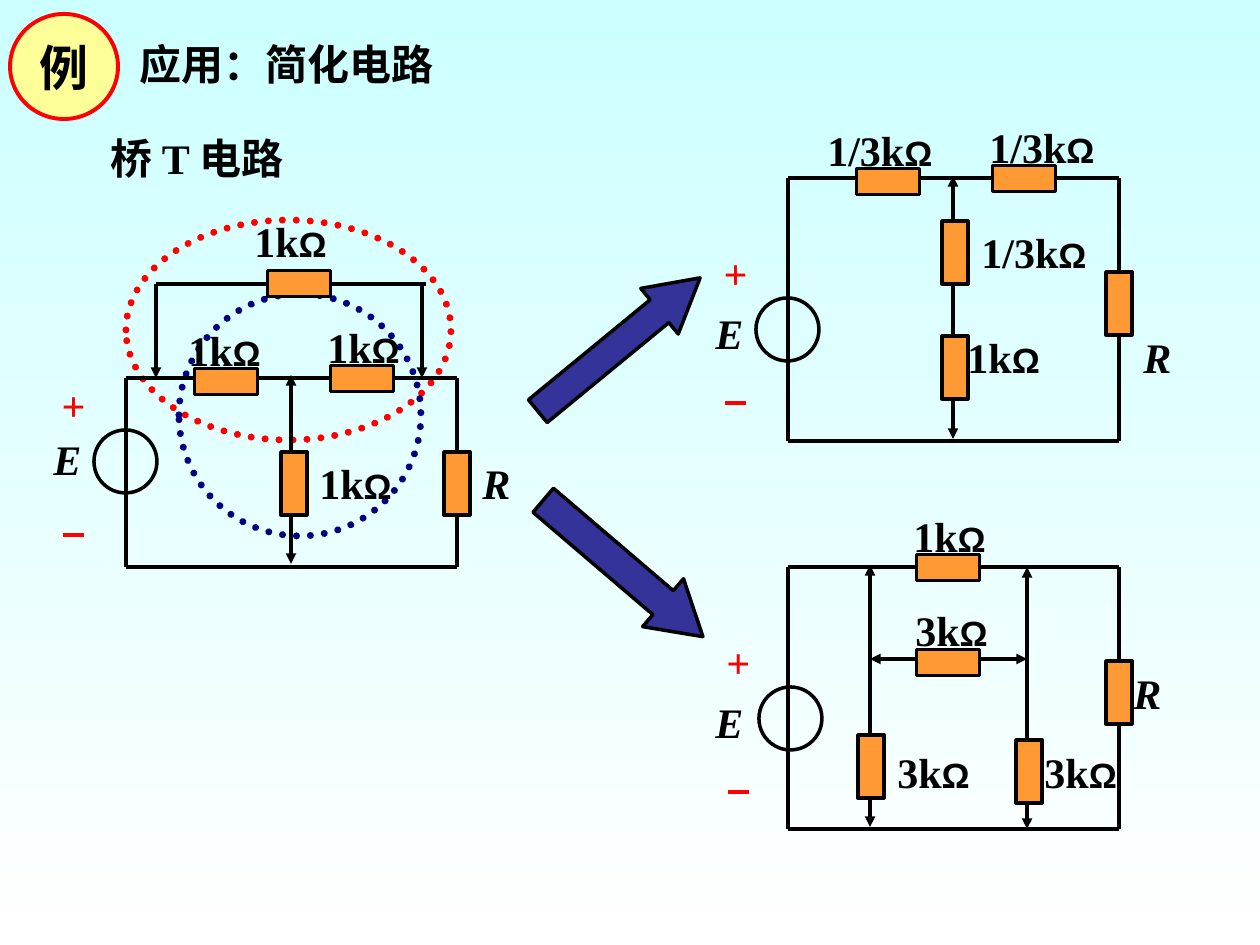
import dataclasses

import pptx
import pptx.dml.color
import pptx.enum.dml
import pptx.enum.shapes
import pptx.enum.text
import pptx.oxml.ns
import pptx.oxml.xmlchemy
import pptx.util

SHAPE = pptx.enum.shapes.MSO_SHAPE
PX = 914400 / 126


@dataclasses.dataclass(frozen=True)
class Theme:
    """Colours, fonts and type sizes of the slide."""
    sky: str = "CCFFFF"
    white: str = "FFFFFF"
    ink: str = "000000"
    red: str = "FF0000"
    navy: str = "000080"
    indigo: str = "333399"
    orange: str = "FF9933"
    yellow: str = "FFFF99"
    serif: str = "Times New Roman"
    sans: str = "Arial"
    body: int = 24
    ohm: int = 20
    badge: int = 28
    stroke: float = 2
    badge_stroke: float = 2.25
    ring_stroke: float = 4


THEME = Theme()


def px(*lengths):
    """Turn px lengths into EMU."""
    return [pptx.util.Emu(round(length * PX)) for length in lengths]


def rgb(colour):
    """Return a colour object for a hex string."""
    return pptx.dml.color.RGBColor.from_string(colour)


def set_formats(target, formats):
    """Set each attribute of target from a dict."""
    for name, value in formats.items():
        setattr(target, name, value)


def set_line(line, colour, points):
    """Give a line its colour and width."""
    line.color.rgb = rgb(colour)
    line.width = pptx.util.Pt(points)


def add_figure(parent, kind, box, fill=None, colour=THEME.ink, points=THEME.stroke, rotation=0):
    """Add a preset shape, hollow unless a fill is given."""
    figure = parent.shapes.add_shape(kind, *px(*box))
    figure.shadow.inherit = False
    figure.rotation = rotation
    if fill:
        figure.fill.solid()
        figure.fill.fore_color.rgb = rgb(fill)
    else:
        figure.fill.background()
    set_line(figure.line, colour, points)
    return figure


def add_wire(parent, origin, ends, heads=(), colour=THEME.ink):
    """Add a straight wire between two points measured from origin."""
    left, top = origin
    x1, y1, x2, y2 = ends
    straight = pptx.enum.shapes.MSO_CONNECTOR.STRAIGHT
    wire = parent.shapes.add_connector(straight, *px(left + x1, top + y1, left + x2, top + y2))
    set_line(wire.line, colour, THEME.stroke)
    properties = wire.element.spPr
    outline = properties.find(pptx.oxml.ns.qn("a:ln"))
    for head in heads:
        tip = pptx.oxml.xmlchemy.OxmlElement(head)
        tip.set("type", "triangle")
        outline.append(tip)
    properties.append(pptx.oxml.xmlchemy.OxmlElement("a:effectLst"))


def add_span(para, text, **formats):
    """Add a bold span in the body style, changed by formats."""
    span = para.add_run()
    span.text = text
    colour = formats.pop("colour", THEME.ink)
    size = pptx.util.Pt(formats.pop("size", THEME.body))
    set_formats(span.font, {"name": THEME.serif, "size": size, "bold": True, **formats})
    span.font.color.rgb = rgb(colour)


def add_text(parent, box, text, wrap=True, align=None, **formats):
    """Add a one-line text box and return its paragraph."""
    frame = parent.shapes.add_textbox(*px(*box)).text_frame
    set_formats(frame, {"word_wrap": wrap,
                        "auto_size": pptx.enum.text.MSO_AUTO_SIZE.SHAPE_TO_FIT_TEXT})
    para = frame.paragraphs[0]
    para.alignment = align
    add_span(para, text, **formats)
    return para


def add_resistor(parent, origin, centre, flat=False):
    """Add a resistor around a centre measured from origin."""
    left, top = origin[0] + centre[0] - 13, origin[1] + centre[1] - 31
    add_figure(parent, SHAPE.RECTANGLE, (left, top, 26, 63), THEME.orange,
               rotation=270 if flat else 0)


def add_source(parent, origin, centre, label_top):
    """Add the voltage source with its name and polarity signs."""
    x, y = origin[0] + centre[0], origin[1] + centre[1]
    add_figure(parent, SHAPE.OVAL, (x - 32, y - 32, 63, 63))
    add_text(parent, (origin[0] - 85, origin[1] + label_top, 54, 63), "E", italic=True)
    add_text(parent, (x - 77, y - 89, 49, 63), "+", wrap=False,
             align=pptx.enum.text.PP_ALIGN.CENTER, colour=THEME.red)
    add_wire(parent, (x, y), (-63, 73, -42, 73), colour=THEME.red)


def draw_circuit(page, box, source, source_label, load, load_label, wires, resistors, values):
    """Draw one grouped circuit: outer loop, inner wires, parts and values."""
    left, top, width, height = box
    origin = (left, top)
    group = page.shapes.add_group_shape()
    loop = [(0, 0, 0, source[1] + 36), (0, source[1] + 16, 0, height), (0, 0, width, 0),
            (0, height, width, height), (width, 0, width, height)]
    for ends in loop:
        add_wire(group, origin, ends)
    for ends, heads in wires:
        add_wire(group, origin, ends, heads)
    for x, y, flat in resistors:
        add_resistor(group, origin, (x, y), flat)
    add_resistor(group, origin, (width, load))
    for x, y, wide, value in values:
        para = add_text(group, (left + x, top + y, wide, 63), value)
        add_span(para, "Ω", name=THEME.sans, size=THEME.ohm)
    add_text(group, (left + load_label[0], top + load_label[1], 44, 63), "R", italic=True)
    add_source(group, origin, source, source_label)


def draw_background(page):
    """Fill the page with a vertical gradient."""
    fill = page.background.fill
    fill.gradient()
    fill.gradient_angle = 270
    for stop, colour in zip(fill.gradient_stops, (THEME.sky, THEME.white)):
        stop.color.rgb = rgb(colour)


def draw_rings(page):
    """Draw the dotted rings around the two parts to be replaced."""
    rings = [((126, 220, 325, 220), THEME.red), ((179, 294, 242, 242), THEME.navy)]
    for box, colour in rings:
        ring = add_figure(page, SHAPE.OVAL, box, colour=colour, points=THEME.ring_stroke)
        ring.line.dash_style = pptx.enum.dml.MSO_LINE.ROUND_DOT
        ring.element.spPr.find(pptx.oxml.ns.qn("a:ln")).set("cap", "rnd")


def draw_headings(page):
    """Write the title and the name of the circuit."""
    add_text(page, (127, 32, 325, 63), "应用：简化电路")
    add_text(page, (98, 126, 325, 63), "桥 T 电路")


def draw_arrows(page):
    """Draw the block arrows leading to the simplified circuits."""
    arrows = [((514, 315, 210, 59), 320.6, 0.89), ((518, 537, 210, 63), 40.5, 0.83)]
    for box, rotation, head in arrows:
        arrow = add_figure(page, SHAPE.RIGHT_ARROW, box, THEME.indigo, rotation=rotation)
        arrow.adjustments[0] = 0.5
        arrow.adjustments[1] = head


def draw_badge(page, box):
    """Draw the round example badge."""
    badge = add_figure(page, SHAPE.OVAL, box, THEME.yellow, THEME.red, THEME.badge_stroke)
    frame = badge.text_frame
    set_formats(frame, {"word_wrap": False,
                        "vertical_anchor": pptx.enum.text.MSO_ANCHOR.MIDDLE})
    frame.paragraphs[0].alignment = pptx.enum.text.PP_ALIGN.CENTER
    add_span(frame.paragraphs[0], "例", size=THEME.badge)


def main():
    """Build the slide and save it."""
    deck = pptx.Presentation()
    deck.slide_width, deck.slide_height = px(1260, 945)
    page = deck.slides.add_slide(deck.slide_layouts[6])
    start, both = ("a:headEnd",), ("a:headEnd", "a:tailEnd")
    draw_background(page)
    draw_rings(page)
    draw_headings(page)
    draw_arrows(page)
    draw_circuit(
        page, (126, 378, 331, 189), (0, 84), 49, 105, (344, 73),
        [((165, -3, 165, 186), both), ((30, 0, 30, -94), start),
         ((30, -94, 300, -94), ()), ((296, 0, 296, -94), start)],
        [(168, 105, False), (236, 0, True), (100, 3, True), (173, -95, True)],
        [(116, -169, 126, "1k"), (50, -60, 126, "1k"),
         (189, -63, 126, "1k"), (181, 73, 126, "1k")])
    draw_circuit(
        page, (788, 178, 331, 263), (0, 152), 123, 125, (343, 147),
        [((165, -2, 165, 261), both)],
        [(167, 189, False), (236, 0, True), (100, 3, True), (167, 74, False)],
        [(27, -60, 140, "1/3k"), (189, -63, 142, "1/3k"),
         (167, 147, 110, "1k"), (181, 42, 134, "1/3k")])
    draw_circuit(
        page, (788, 567, 331, 262), (3, 152), 123, 125, (333, 94),
        [((82, -2, 82, 260), both), ((239, 0, 239, 262), both), ((82, 92, 239, 92), both)],
        [(160, 0, True), (83, 199, False), (241, 204, False), (160, 95, True)],
        [(113, -63, 105, "1k"), (97, 173, 121, "3k"),
         (244, 173, 121, "3k"), (115, 31, 121, "3k")])
    draw_badge(page, (10, 14, 108, 105))
    deck.save("out.pptx")


if __name__ == "__main__":
    main()
